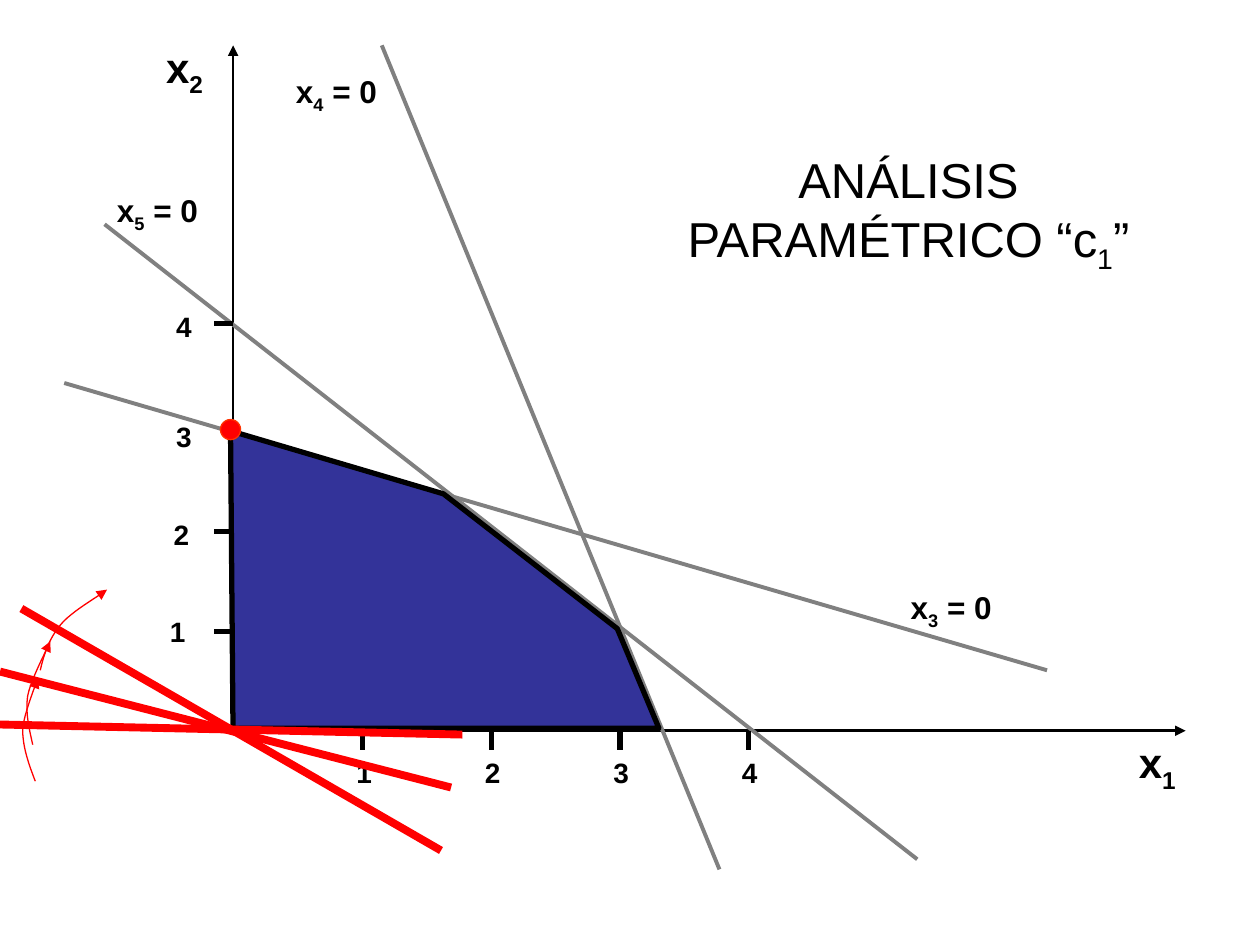
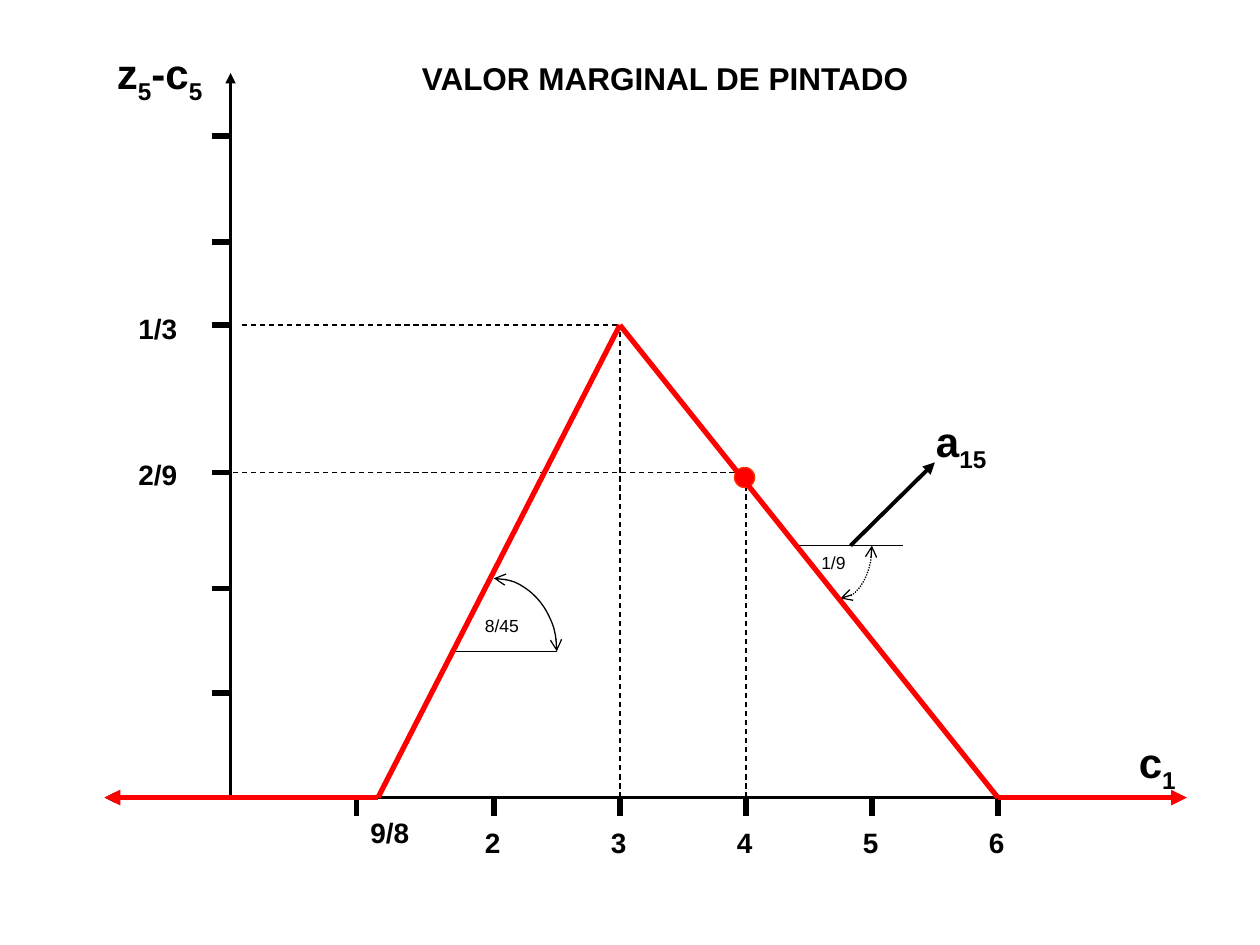
from dataclasses import dataclass
from typing import Any

from lxml.etree import SubElement
from pptx import Presentation
from pptx.dml.color import RGBColor
from pptx.enum.dml import MSO_LINE
from pptx.enum.shapes import MSO_CONNECTOR, MSO_SHAPE
from pptx.enum.text import MSO_ANCHOR, PP_ALIGN
from pptx.oxml.ns import qn
from pptx.util import Inches, Pt

FONT = "Arial"
BLACK, GRAY, RED = "000000", "808080", "FF0000"
REGION_BLUE, DOT_EDGE = "333399", "FF3300"
TICK_LENGTH = 0.15


def color(value):
    return RGBColor.from_string(value)


def style_line(shape, line_color, width, dash=None, head=None, tail=None):
    shape.line.color.rgb = color(line_color)
    shape.line.width = Pt(width)
    if dash:
        shape.line.dash_style = dash
    outline = shape.element.spPr.find(qn("a:ln"))
    for tag, arrow in (("a:headEnd", head), ("a:tailEnd", tail)):
        if arrow:
            SubElement(outline, qn(tag)).set("type", arrow)


def style_fill(shape, fill):
    shape.shadow.inherit = False
    if fill:
        shape.fill.solid()
        shape.fill.fore_color.rgb = color(fill)
    else:
        shape.fill.background()


def bezier(start, control_1, control_2, end, steps=12):
    for step in range(steps + 1):
        t = step / steps
        weights = ((1 - t) ** 3, 3 * t * (1 - t) ** 2, 3 * t * t * (1 - t), t**3)
        yield tuple(
            sum(weight * value for weight, value in zip(weights, axis))
            for axis in zip(start, control_1, control_2, end)
        )


@dataclass
class Region:
    slide: Any
    left: float
    top: float

    def place(self, x, y):
        return Inches(self.left + x), Inches(self.top + y)

    def line(self, start, end, line_color=BLACK, width=1.5, **ends):
        connector = self.slide.shapes.add_connector(
            MSO_CONNECTOR.STRAIGHT, *self.place(*start), *self.place(*end))
        style_line(connector, line_color, width, **ends)
        SubElement(connector.element.spPr, qn("a:effectLst"))

    def outline(self, points, line_color, width, fill=None, tail=None):
        first, *rest = [self.place(*point) for point in points]
        builder = self.slide.shapes.build_freeform(*first, scale=1.0)
        builder.add_line_segments(rest, close=fill is not None)
        shape = builder.convert_to_shape()
        style_fill(shape, fill)
        style_line(shape, line_color, width, tail=tail)

    def label(self, text, x, y, width, height, size=16, bold=True, wrap=False):
        box = self.slide.shapes.add_textbox(
            *self.place(x, y), Inches(width), Inches(height))
        box.text_frame.word_wrap = wrap
        paragraph = box.text_frame.paragraphs[0]
        for index, part in enumerate(text.split("_")):
            run = paragraph.add_run()
            run.text = part
            run.font.name, run.font.size, run.font.bold = FONT, Pt(size), bold
            run.font.color.rgb = color(BLACK)
            if index % 2:
                run.font._element.set("baseline", "-25000")
        return box

    def axis_name(self, text, x, y, width=0.63):
        self.label(text, x, y, width, 0.56, size=24, wrap=True)

    def ticks_x(self, positions, axis_y):
        for x in positions:
            self.line((x, axis_y + TICK_LENGTH), (x, axis_y), width=3)

    def ticks_y(self, positions, axis_x):
        for y in positions:
            self.line((axis_x - TICK_LENGTH, y), (axis_x, y), width=3)

    def dot(self, x, y):
        shape = self.slide.shapes.add_shape(
            MSO_SHAPE.OVAL, *self.place(x, y), Inches(0.16), Inches(0.16))
        style_fill(shape, RED)
        style_line(shape, DOT_EDGE, 0.75)

    def angle_arc(self, center, radius_x, radius_y, angles, dash=None):
        shape = self.slide.shapes.add_shape(
            MSO_SHAPE.ARC, *self.place(center[0] - radius_x, center[1] - radius_y),
            Inches(2 * radius_x), Inches(2 * radius_y))
        for index, angle in enumerate(angles):
            shape.adjustments[index] = angle * 0.6
        style_fill(shape, None)
        style_line(shape, BLACK, 0.75, dash, head="arrow", tail="arrow")


def draw_constraints(region):
    for start, end in (
        ((0.83, 1.78), (7.28, 6.82)),
        ((0.51, 3.04), (8.31, 5.32)),
        ((5.71, 6.9), (3.03, 0.36)),
    ):
        region.line(start, end, GRAY, 2.25)
    corners = [(1.85, 5.78), (1.83, 3.42), (3.52, 3.92), (4.9, 4.99), (5.23, 5.78)]
    region.outline(corners, BLACK, 3, fill=REGION_BLUE)
    for text, x, y in (
        ("x_3_ = 0", 7.13, 4.62), ("x_4_ = 0", 2.25, 0.52), ("x_5_ = 0", 0.83, 1.47),
    ):
        region.label(text, x, y, 0.84, 0.44, size=18)


def draw_objective_turns(region):
    for start, end in (
        ((0, 5.33), (3.58, 6.25)),
        ((0, 5.75), (3.67, 5.83)),
        ((0.17, 4.83), (3.5, 6.75)),
    ):
        region.line(start, end, RED, 4.5)
    for first, second in (
        (((0.28, 6.2), (0.23, 6.07), (0.18, 5.93), (0.18, 5.79)),
         ((0.19, 5.66), (0.28, 5.45), (0.3, 5.38))),
        (((0.26, 5.91), (0.23, 5.78), (0.2, 5.65), (0.22, 5.52)),
         ((0.25, 5.38), (0.37, 5.16), (0.4, 5.09))),
        (((0.32, 5.32), (0.35, 5.19), (0.39, 5.07), (0.48, 4.96)),
         ((0.57, 4.85), (0.79, 4.73), (0.85, 4.68))),
    ):
        points = [*bezier(*first), *list(bezier(first[-1], *second))[1:]]
        region.outline(points, RED, 0.75, tail="triangle")


def draw_parametric_slide(region):
    axis_x, axis_y = 1.85, 5.8
    region.line((axis_x, axis_y), (axis_x, 0.36), tail="triangle")
    region.line((axis_x, axis_y), (9.41, axis_y), tail="triangle")
    region.axis_name("x_2", 1.22, 0.28)
    region.axis_name("x_1", 8.94, 5.8)
    draw_constraints(region)
    columns = [2.88 + 1.02 * index for index in range(4)]
    region.ticks_x(columns, axis_y)
    for number, x in enumerate(columns, 1):
        region.label(str(number), x - 0.15, 5.95, 0.32, 0.37)
    region.ticks_y((5.01, 4.22, 2.57), axis_x)
    for text, x, y in (
        ("1", 1.25, 4.83), ("2", 1.28, 4.06), ("3", 1.3, 3.28), ("4", 1.3, 2.41),
    ):
        region.label(text, x, y, 0.32, 0.37)
    region.dot(1.75, 3.33)
    title = region.label("ANÁLISIS PARAMÉTRICO “c_1_”", 5, 0.75, 4.42, 1.87,
                         size=28, bold=False, wrap=True)
    title.text_frame.vertical_anchor = MSO_ANCHOR.MIDDLE
    title.text_frame.paragraphs[0].alignment = PP_ALIGN.CENTER
    draw_objective_turns(region)


def draw_slope_marks(region):
    region.label("1/9", 6.42, 4.33, 1, 0.27, size=10, bold=False, wrap=True)
    region.line((6.33, 4.33), (7.17, 4.33), width=0.75)
    region.angle_arc((6.67, 4.33), 0.25, 0.42, (0, 90), MSO_LINE.ROUND_DOT)
    region.label("8/45", 3.75, 4.83, 1, 0.27, size=10, bold=False, wrap=True)
    region.line((3.58, 5.17), (4.42, 5.17), width=0.75)
    region.angle_arc((3.92, 5.17), 0.5, 0.58, (270, 0))
    region.axis_name("a_15", 7.33, 3.25, 0.67)
    region.line((6.75, 4.33), (7.42, 3.67), width=2.25, tail="triangle")


def draw_marginal_value_slide(region):
    axis_x, axis_y = 1.83, 6.33
    peak, left_foot, right_foot = (4.92, 2.58), (3, axis_y), (7.92, axis_y)
    region.line((axis_x, axis_y), (axis_x, 0.58), tail="triangle")
    region.line((0.83, axis_y), (9.39, axis_y), head="triangle", tail="triangle")
    region.axis_name("z_5_-c_5", 0.83, 0.33, 1.13)
    region.axis_name("c_1", 8.94, 5.8)
    columns = [3.92 + index for index in range(5)]
    region.ticks_x([2.83, *columns], axis_y)
    region.label("9/8", 2.84, 6.42, 0.51, 0.37)
    for number, x in enumerate(columns, 2):
        region.label(str(number), x - 0.17, 6.5, 0.32, 0.37)
    region.ticks_y((5.5, 4.67, 3.75, 2.58, 1.92, 1.08), axis_x)
    for text, y in (("2/9", 3.58), ("1/3", 2.42)):
        region.label(text, 1, y, 0.51, 0.37)
    for start, end in (
        ((5.92, axis_y), (5.92, 3.75)), ((5.83, 3.75), (axis_x, 3.75)),
        ((4.92, axis_y), peak), ((1.92, 2.58), peak),
    ):
        region.line(start, end, width=0.75, dash=MSO_LINE.DASH)
    region.dot(5.83, 3.71)
    draw_slope_marks(region)
    for foot, far_x in ((left_foot, 0.83), (right_foot, 9.42)):
        region.line(peak, foot, RED, 3)
        region.line(foot, (far_x, axis_y), RED, 3, tail="triangle")
    region.label("VALOR MARGINAL DE PINTADO", 3.25, 0.42, 4.42, 0.4, size=18, wrap=True)


def main():
    presentation = Presentation()
    presentation.slide_width, presentation.slide_height = Inches(10), Inches(7.5)
    for draw in (draw_parametric_slide, draw_marginal_value_slide):
        slide = presentation.slides.add_slide(presentation.slide_layouts[6])
        draw(Region(slide, 0, 0))
    presentation.save("out.pptx")


if __name__ == "__main__":
    main()
